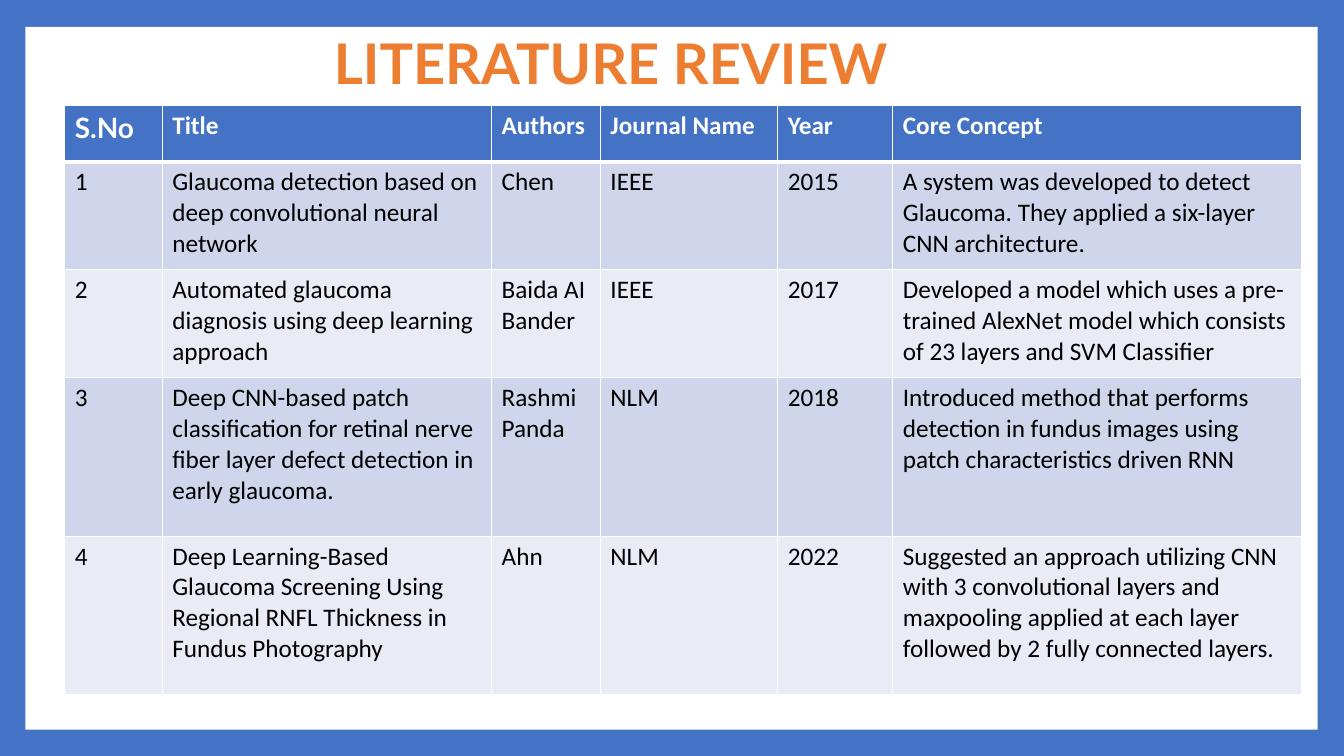
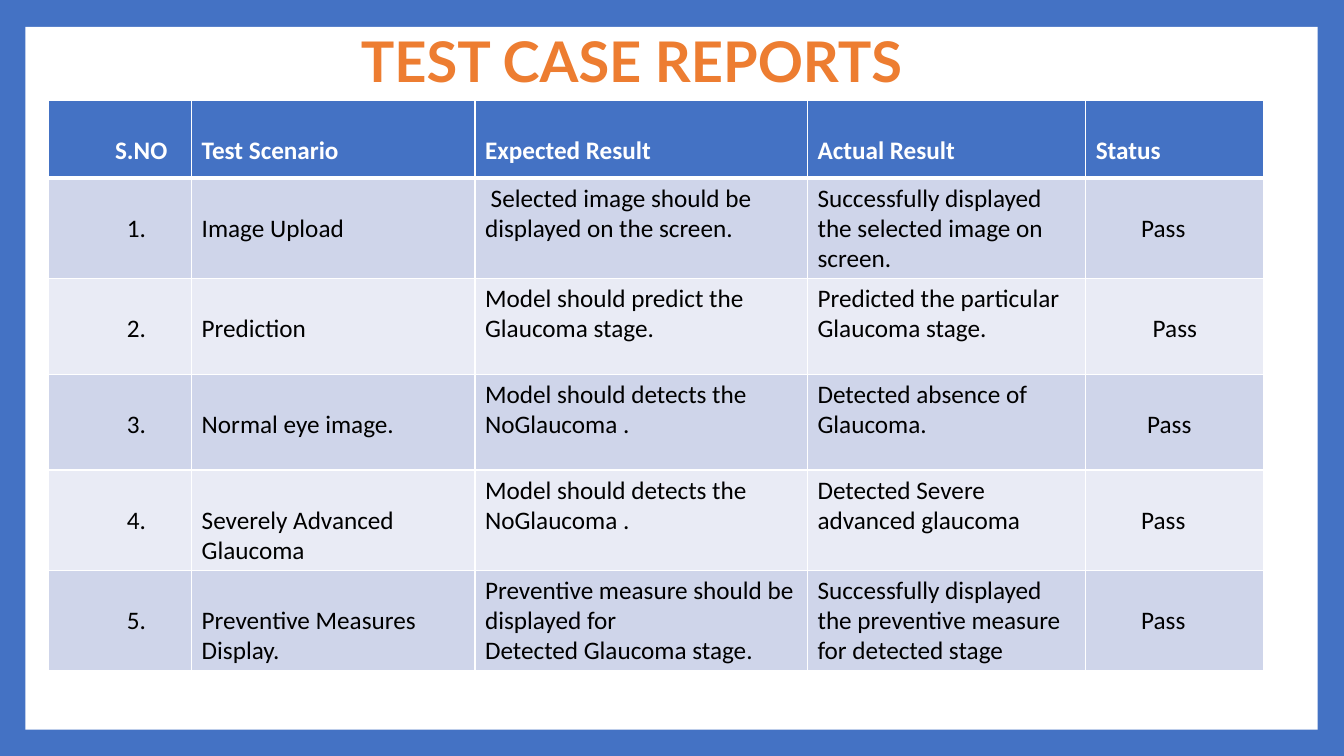
import lxml.etree
import pptx
import pptx.dml.color
import pptx.enum.shapes
import pptx.enum.text
import pptx.oxml.ns
import pptx.util

Cm = pptx.util.Cm
RGBColor = pptx.dml.color.RGBColor
qn = pptx.oxml.ns.qn

BLUE = RGBColor(0x44, 0x72, 0xC4)
ORANGE = RGBColor(0xED, 0x7D, 0x31)
WHITE = RGBColor(0xFF, 0xFF, 0xFF)
BLACK = RGBColor(0x00, 0x00, 0x00)
BAND_COLORS = (RGBColor(0xCF, 0xD5, 0xEA), RGBColor(0xE9, 0xEB, 0xF5))

TITLE_FONT = "Lato"
BODY_FONT = "Calibri"
LOWERED_TOP = Cm(0.88)  # cell text starts on its second line

REVIEW_COLUMNS = (2.46, 8.3, 2.74, 4.47, 2.9, 10.3)
REVIEW_ROWS = (1.42, 2.72, 2.72, 3.99, 3.99)
REVIEW = (
    ("S.No", "Title", "Authors", "Journal Name", "Year", "Core Concept"),
    ("1", "Glaucoma detection based on deep convolutional neural network",
     "Chen", "IEEE", "2015",
     "A system was developed to detect Glaucoma. They applied a six-layer "
     "CNN architecture."),
    ("2", "Automated glaucoma diagnosis using deep learning approach",
     "Baida AI Bander", "IEEE", "2017",
     "Developed a model which uses a pre-trained AlexNet model which consists "
     "of 23 layers and SVM Classifier"),
    ("3", "Deep CNN-based patch classification for retinal nerve fiber layer "
     "defect detection in early glaucoma.",
     "Rashmi Panda", "NLM", "2018",
     "Introduced method that performs detection in fundus images using patch "
     "characteristics driven RNN"),
    ("4", "Deep Learning-Based Glaucoma Screening Using Regional RNFL "
     "Thickness in Fundus Photography",
     "Ahn", "NLM", "2022",
     "Suggested an approach utilizing CNN with 3 convolutional layers and "
     "maxpooling applied at each layer followed by 2 fully connected layers."),
)

TEST_COLUMNS = (3.6, 7.14, 8.38, 7.01, 4.48)
TEST_ROWS = (1.96,) + (2.41,) * 5
TESTS = (
    ("S.NO", "Test Scenario", "Expected Result", "Actual Result", "Status"),
    ("1.", "Image Upload", " Selected image should be displayed on the screen.",
     "Successfully displayed the selected image on screen.", "Pass"),
    ("2.", "Prediction", "Model should predict the Glaucoma stage.",
     "Predicted the particular Glaucoma stage.", "Pass"),
    ("3.", "Normal eye image.", "Model should detects the NoGlaucoma .",
     "Detected absence of Glaucoma.", "Pass"),
    ("4.", "Severely Advanced Glaucoma", "Model should detects the NoGlaucoma .",
     "Detected Severe advanced glaucoma", "Pass"),
    ("5.", "Preventive Measures Display.",
     "Preventive measure should be displayed for\nDetected Glaucoma stage.",
     "Successfully displayed the preventive measure for detected stage", "Pass"),
)
STATUS_INDENTS = (1.4, 1.69, 1.55, 1.4, 1.4)


def write_text(text_frame, text, *, size=18, color=BLACK, bold=False,
               font=BODY_FONT, line_spacing=1.0):
    text_frame.text = text
    for paragraph in text_frame.paragraphs:
        paragraph.alignment = pptx.enum.text.PP_ALIGN.LEFT
        paragraph.line_spacing = line_spacing
        for run in paragraph.runs:
            run.font.size = pptx.util.Pt(size)
            run.font.color.rgb = color
            run.font.bold = bold
            run.font.name = font


def style_layout(layout):
    """Give the layout its blue surround and drop its unused footer fields."""
    fill = layout.background.fill
    fill.solid()
    fill.fore_color.rgb = BLUE
    for placeholder in list(layout.placeholders):
        if placeholder.placeholder_format.type != pptx.enum.shapes.PP_PLACEHOLDER.TITLE:
            layout.shapes.element.remove(placeholder.element)


def add_panel(slide):
    """Lay the white panel behind everything else on the slide."""
    panel = slide.shapes.add_shape(
        pptx.enum.shapes.MSO_SHAPE.RECTANGLE, Cm(0.64), Cm(0.68), Cm(32.57), Cm(17.71))
    panel.shadow.inherit = False
    panel.fill.solid()
    panel.fill.fore_color.rgb = WHITE
    panel.line.fill.background()
    slide.shapes.element.insert(2, panel.element)


def set_title(slide, text, left, top):
    title = slide.shapes.title
    title.left, title.top, title.width, title.height = left, top, Cm(18.5), Cm(1.96)
    frame = title.text_frame
    frame.vertical_anchor = pptx.enum.text.MSO_ANCHOR.TOP
    frame.auto_size = pptx.enum.text.MSO_AUTO_SIZE.NONE
    write_text(frame, text, size=40, color=ORANGE, bold=True, font=TITLE_FONT)


def set_borders(cell, **widths):
    """Draw white cell borders; widths in points are keyed L, R, T, B."""
    properties = cell._tc.get_or_add_tcPr()
    for index, (side, width) in enumerate(widths.items()):
        line = lxml.etree.Element(qn("a:ln" + side), w=str(pptx.util.Pt(width)))
        fill = lxml.etree.SubElement(line, qn("a:solidFill"))
        lxml.etree.SubElement(fill, qn("a:srgbClr"), val=str(WHITE))
        properties.insert(index, line)


def add_banded_table(slide, content, left, top, widths, heights, line_spacing=1.0):
    """Add a table with a blue header and rows in alternating tints."""
    table = slide.shapes.add_table(
        len(heights), len(widths), left, top, Cm(sum(widths)), Cm(sum(heights))).table
    for column, width in zip(table.columns, widths):
        column.width = Cm(width)
    for row_index, (row, height) in enumerate(zip(table.rows, heights)):
        row.height = Cm(height)
        is_header = row_index == 0
        for cell, text in zip(row.cells, content[row_index]):
            cell.fill.solid()
            cell.fill.fore_color.rgb = BLUE if is_header else BAND_COLORS[(row_index - 1) % 2]
            set_borders(cell, L=1, R=1, T=3 if row_index == 1 else 1,
                        B=3 if is_header else 1)
            write_text(cell.text_frame, text, bold=is_header,
                       color=WHITE if is_header else BLACK, line_spacing=line_spacing)
    return table


def build_review(slide):
    add_panel(slide)
    set_title(slide, "LITERATURE REVIEW", Cm(8.16), Cm(0.6))
    table = add_banded_table(
        slide, REVIEW, Cm(1.63), Cm(2.66), REVIEW_COLUMNS, REVIEW_ROWS)
    write_text(table.cell(0, 0).text_frame, REVIEW[0][0],
               size=20, color=WHITE, bold=True, font=TITLE_FONT)


def build_tests(slide):
    add_panel(slide)
    set_title(slide, "TEST CASE REPORTS", Cm(8.84), Cm(0.53))
    table = add_banded_table(
        slide, TESTS, Cm(1.23), Cm(2.53), TEST_COLUMNS, TEST_ROWS, line_spacing=0.98)
    for cell in table.rows[0].cells:
        cell.margin_top = LOWERED_TOP
    table.cell(0, 0).margin_left = Cm(1.67)
    for row_index, indent in enumerate(STATUS_INDENTS, start=1):
        for column_index in (0, 1, 4):
            table.cell(row_index, column_index).margin_top = LOWERED_TOP
        table.cell(row_index, 0).margin_left = Cm(1.97)
        table.cell(row_index, 4).margin_left = Cm(indent)


def main():
    presentation = pptx.Presentation()
    presentation.slide_width = Cm(33.87)
    presentation.slide_height = Cm(19.05)
    layout = presentation.slide_layouts.get_by_name("Title Only")
    style_layout(layout)
    for build in (build_review, build_tests):
        build(presentation.slides.add_slide(layout))
    presentation.save("out.pptx")


if __name__ == "__main__":
    main()
